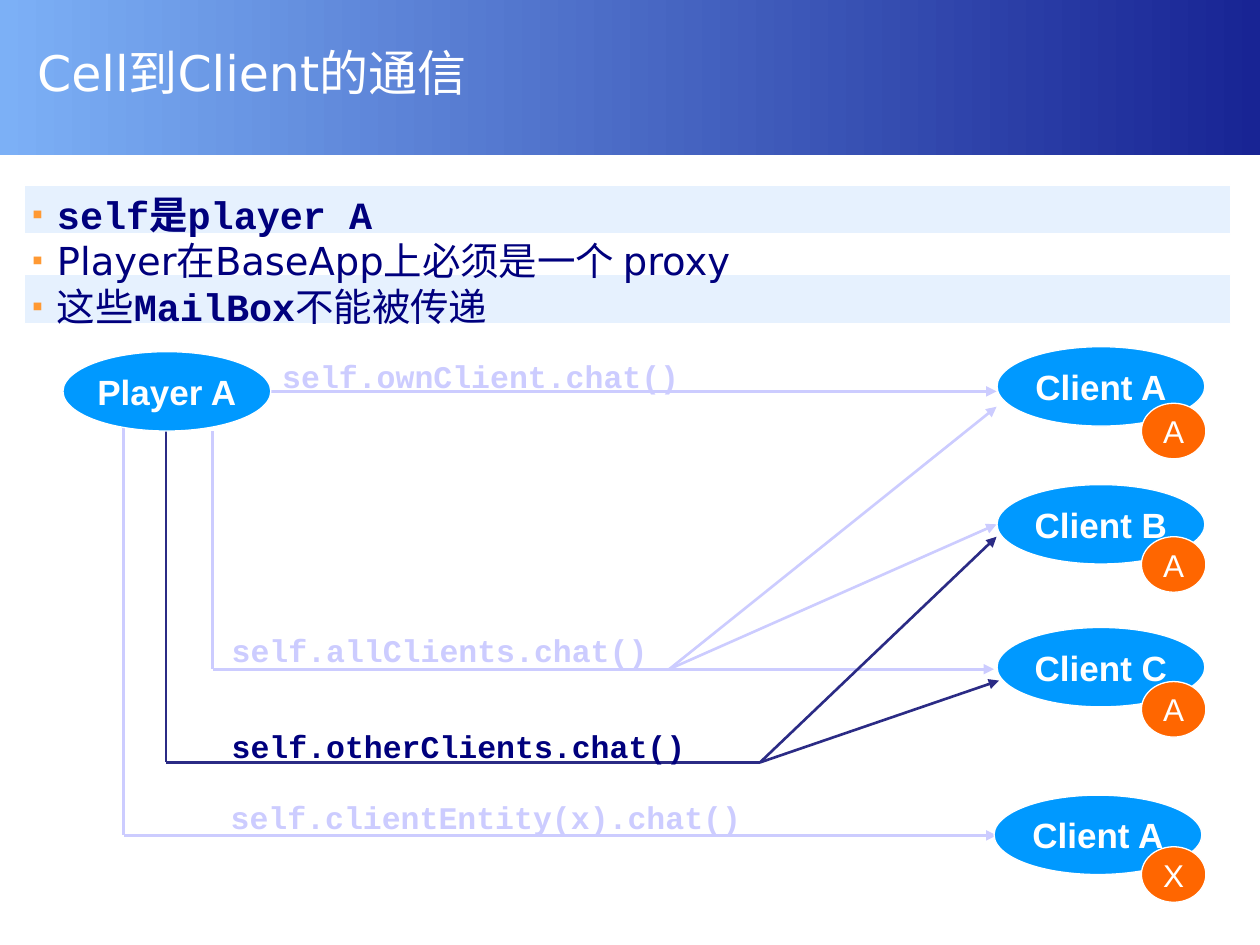
"""Build the slide on communication from a cell to its clients."""
from typing import NamedTuple

from lxml import etree
from pptx import Presentation
from pptx import util as u
from pptx.dml.color import RGBColor
from pptx.enum import shapes, text
from pptx.oxml.ns import qn

WHITE, NAVY, DARK, PALE = "FFFFFF", "00007D", "2B2B85", "CCCCFF"
BLUE, ORANGE, BAND = "0099FF", "FF6600", "E6F1FE"
SANS, MONO = "DejaVu Sans", "Courier New"


class Node(NamedTuple):
    caption: str
    left: float
    top: float


class Route(NamedTuple):
    start: tuple[float, float]
    end: tuple[float, float]
    color: str = PALE
    arrow: bool = True


class Label(NamedTuple):
    caption: str
    left: float
    top: float
    color: str = PALE


class Piece(NamedTuple):
    caption: str
    font: str
    bold: bool = False


ALL_FORK, OTHER_FORK = (13.49, 13.49), (15.32, 15.37)
ROUTES = [
    Route((3.35, 15.37), OTHER_FORK, DARK, False),
    Route(ALL_FORK, (20.09, 8.2)),
    Route(ALL_FORK, (20.09, 10.57)),
    Route(ALL_FORK, (20.04, 13.49)),
    Route(OTHER_FORK, (20.09, 10.82), DARK),
    Route(OTHER_FORK, (20.14, 13.72), DARK),
    Route((2.49, 16.84), (20.09, 16.84)),
    Route((2.49, 8.53), (2.49, 16.84), arrow=False),
    Route((3.35, 8.69), (3.35, 15.37), DARK, False),
    Route((4.29, 13.49), ALL_FORK, arrow=False),
    Route((4.29, 8.69), (4.29, 13.49), arrow=False),
    Route((5.46, 7.89), (20.09, 7.89)),
]
LABELS = [
    Label("self.ownClient.chat()", 5.69, 7.19),
    Label("self.otherClients.chat()", 4.67, 14.66, NAVY),
    Label("self.allClients.chat()", 4.67, 12.73),
    Label("self.clientEntity(x).chat()", 4.65, 16.08),
]
ENTITIES = [
    Node("Player A", 1.27, 7.09),
    Node("Client A", 20.1, 6.99),
    Node("Client B", 20.1, 9.77),
    Node("Client C", 20.1, 12.65),
    Node("Client A", 20.04, 16.03),
]
BADGES = [
    Node("A", 23.01, 8.13),
    Node("A", 23.01, 10.82),
    Node("A", 23.01, 13.74),
    Node("X", 23.01, 17.07),
]
BULLETS = [
    [Piece("self是player A", MONO, True)],
    [Piece("Player在BaseApp上必须是一个 proxy", SANS)],
    [Piece("这些", SANS), Piece("MailBox", MONO, True), Piece("不能被传递", SANS)],
]


def paint(color_format, value: str) -> None:
    color_format.rgb = RGBColor.from_string(value)


def set_font(font, name: str, size: float, color: str, bold: bool = False) -> None:
    font.name, font.size, font.bold = name, u.Pt(size), bold
    paint(font.color, color)


def add_filled(slide, kind, box: tuple, fill: str):
    shape = slide.shapes.add_shape(kind, *map(u.Cm, box))
    shape.shadow.inherit = False
    shape.fill.solid()
    paint(shape.fill.fore_color, fill)
    paint(shape.line.color, WHITE)
    shape.line.width = u.Pt(0.75)
    return shape


def add_header(slide) -> None:
    shape = slide.shapes.add_shape(
        shapes.MSO_SHAPE.RECTANGLE, 0, 0, u.Cm(25.4), u.Cm(3.12))
    shape.shadow.inherit = False
    shape.line.fill.background()
    shape.fill.gradient()
    shape.fill.gradient_angle = 0
    for stop, color in zip(shape.fill.gradient_stops, ("7CB0F6", "182494")):
        paint(stop.color, color)


def add_text(slide, box: tuple, margins: tuple, wrap: bool = True):
    frame = slide.shapes.add_textbox(*map(u.Cm, box)).text_frame
    frame.word_wrap = wrap
    (frame.margin_left, frame.margin_top,
     frame.margin_right, frame.margin_bottom) = map(u.Cm, margins)
    return frame


def add_title(slide, caption: str) -> None:
    frame = add_text(slide, (0.5, 0, 24.31, 2.92), (0.25, 0.1, 0.25, 0.13))
    frame.vertical_anchor = text.MSO_ANCHOR.MIDDLE
    frame.text = caption
    set_font(frame.paragraphs[0].font, SANS, 28, WHITE)


def add_route(slide, route: Route) -> None:
    connector = slide.shapes.add_connector(
        shapes.MSO_CONNECTOR.STRAIGHT, *map(u.Cm, route.start + route.end))
    paint(connector.line.color, route.color)
    connector.line.width = u.Pt(1.5)
    properties = connector._element.spPr
    if route.arrow:
        etree.SubElement(properties.find(qn("a:ln")), qn("a:tailEnd"), type="triangle")
    etree.SubElement(properties, qn("a:effectLst"))


def add_label(slide, label: Label) -> None:
    box = (label.left, label.top, 0.38 * len(label.caption) + 0.1, 0.76)
    frame = add_text(slide, box, (0, 0, 0, 0), wrap=False)
    frame.auto_size = text.MSO_AUTO_SIZE.SHAPE_TO_FIT_TEXT
    frame.text = label.caption
    set_font(frame.paragraphs[0].font, MONO, 18, label.color, True)


def add_node(slide, node: Node, size: tuple, fill: str, points: int, bold: bool) -> None:
    shape = add_filled(
        slide, shapes.MSO_SHAPE.OVAL, (node.left, node.top, *size), fill)
    frame = shape.text_frame
    frame.word_wrap = False
    frame.vertical_anchor = text.MSO_ANCHOR.MIDDLE
    frame.text = node.caption
    paragraph = frame.paragraphs[0]
    paragraph.alignment = text.PP_ALIGN.CENTER
    set_font(paragraph.font, "Arial", points, WHITE, bold)


def add_bullet(paragraph) -> None:
    properties = paragraph._p.get_or_add_pPr()
    properties.set("marL", str(u.Cm(0.5)))
    properties.set("indent", str(-u.Cm(0.5)))
    color = etree.SubElement(properties, qn("a:buClr"))
    etree.SubElement(color, qn("a:srgbClr"), val="FF9933")
    etree.SubElement(properties, qn("a:buSzPct"), val="80000")
    etree.SubElement(properties, qn("a:buFont"), typeface="Arial")
    etree.SubElement(properties, qn("a:buChar"), char="▪")


def add_bullets(slide) -> None:
    frame = add_text(slide, (0.5, 3.82, 24.31, 2.69), (0.15, 0.03, 0, 0))
    for index, pieces in enumerate(BULLETS):
        paragraph = frame.add_paragraph() if index else frame.paragraphs[0]
        add_bullet(paragraph)
        for piece in pieces:
            run = paragraph.add_run()
            run.text = piece.caption
            set_font(run.font, piece.font, 22, NAVY, piece.bold)


def main() -> None:
    presentation = Presentation()
    presentation.slide_width, presentation.slide_height = u.Cm(25.4), u.Cm(19.05)
    slide = presentation.slides.add_slide(presentation.slide_layouts[6])
    add_header(slide)
    for top in (5.54, 3.73):
        add_filled(slide, shapes.MSO_SHAPE.RECTANGLE, (0.5, top, 24.31, 0.99), BAND)
    add_title(slide, "Cell到Client的通信")
    for route in ROUTES:
        add_route(slide, route)
    for label in LABELS:
        add_label(slide, label)
    for entity in ENTITIES:
        add_node(slide, entity, (4.19, 1.6), BLUE, 20, True)
    for badge in BADGES:
        add_node(slide, badge, (1.3, 1.12), ORANGE, 18, False)
    add_bullets(slide)
    presentation.save("out.pptx")


if __name__ == "__main__":
    main()
